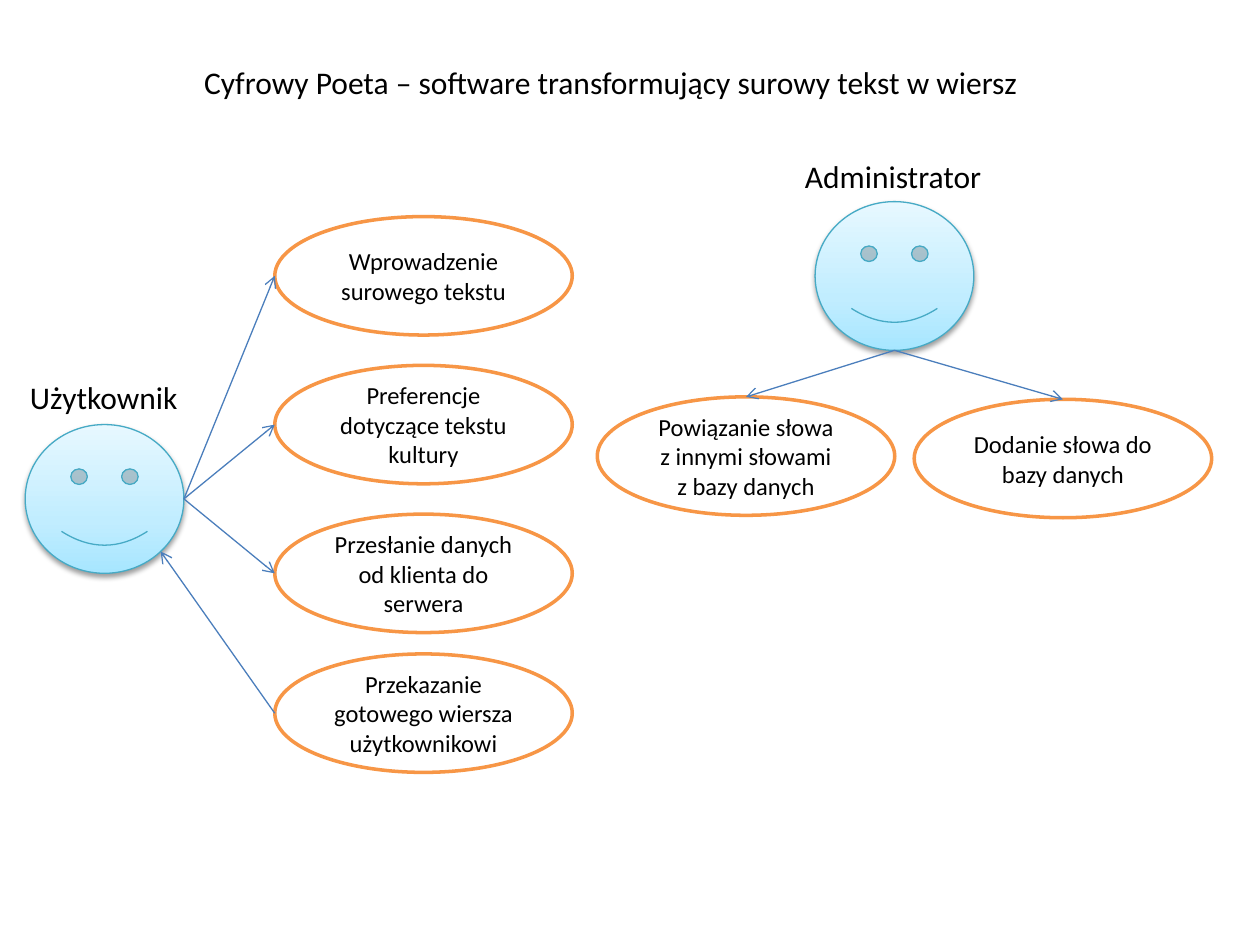
from dataclasses import dataclass

from lxml.etree import SubElement
from pptx import Presentation
from pptx.dml.color import RGBColor
from pptx.enum.shapes import MSO_CONNECTOR as Connector, MSO_SHAPE as Shape
from pptx.enum.text import MSO_ANCHOR as Anchor, MSO_AUTO_SIZE as AutoSize, PP_ALIGN as Align
from pptx.oxml.ns import qn
from pptx.util import Pt

COLORS = {
    "text": "000000", "case_fill": "FFFFFF", "case_line": "F79646",
    "actor_line": "46AAC5", "arrow": "4B7EBC", "shadow": "000000",
    "actor_bottom": "A7E6FF", "actor_middle": "C1EDFF", "actor_top": "E7F8FF",
}
ACTOR_STOPS = [(0, "actor_bottom"), (35, "actor_middle"), (100, "actor_top")]
FONT = "Calibri"
DIAGONAL = 0.5 ** 0.5


@dataclass
class Oval:
    """An oval item of the diagram, with its outline points."""
    left: float
    top: float
    width: float
    height: float
    text: str = ""

    def site(self, across: float, down: float) -> tuple[float, float]:
        """Return an outline point, each direction running from -1 to 1."""
        return (self.left + self.width * (1 + across) / 2,
                self.top + self.height * (1 + down) / 2)


@dataclass
class Label:
    """A line of text and its box."""
    text: str
    left: float
    top: float
    width: float


def use_case(left: float, top: float, text: str) -> Oval:
    """Make a use case of the common size."""
    return Oval(left, top, 170, 67.7, text)


def actor(left: float, top: float) -> Oval:
    """Make an actor of the common size."""
    return Oval(left, top, 90.7, 85)


def rgb(name: str) -> RGBColor:
    """Look up a named colour."""
    return RGBColor.from_string(COLORS[name])


def add_text(paragraph, text: str, size: float) -> None:
    """Add one formatted run."""
    run = paragraph.add_run()
    run.text = text
    run.font.name, run.font.size = FONT, Pt(size)
    run.font.color.rgb = rgb("text")


def add_oval(slide, oval: Oval, kind: Shape, line: str, weight: float):
    """Add an oval shape with its outline and no shadow."""
    shape = slide.shapes.add_shape(
        kind, Pt(oval.left), Pt(oval.top), Pt(oval.width), Pt(oval.height))
    shape.shadow.inherit = False
    shape.line.color.rgb = rgb(line)
    shape.line.width = Pt(weight)
    return shape


def draw_case(slide, case: Oval) -> None:
    """Draw a use case with its centred wording."""
    shape = add_oval(slide, case, Shape.OVAL, "case_line", 2)
    shape.fill.solid()
    shape.fill.fore_color.rgb = rgb("case_fill")
    frame = shape.text_frame
    frame.word_wrap = True
    frame.vertical_anchor = Anchor.MIDDLE
    frame.paragraphs[0].alignment = Align.CENTER
    add_text(frame.paragraphs[0], case.text, 14)


def add_color(parent, name: str):
    """Append a colour element."""
    return SubElement(parent, qn("a:srgbClr"), val=COLORS[name])


def draw_actor(slide, person: Oval) -> None:
    """Draw an actor with a gradient and a soft shadow."""
    shape = add_oval(slide, person, Shape.SMILEY_FACE, "actor_line", 0.75)
    shape.fill.gradient()
    shape.fill.gradient_angle = 90
    properties = shape._element.spPr
    stops = properties.find(".//" + qn("a:gsLst"))
    for stop in list(stops):
        stops.remove(stop)
    for percent, name in ACTOR_STOPS:
        add_color(SubElement(stops, qn("a:gs"), pos=str(percent * 1000)), name)
    shadow = SubElement(
        properties.find(qn("a:effectLst")), qn("a:outerShdw"),
        blurRad=str(Pt(3.1)), dist=str(Pt(1.6)), dir="5400000", rotWithShape="0")
    SubElement(add_color(shadow, "shadow"), qn("a:alpha"), val="38000")


def draw_arrow(slide, start: tuple[float, float], end: tuple[float, float]) -> None:
    """Draw a thin line with an open arrowhead at its end."""
    arrow = slide.shapes.add_connector(
        Connector.STRAIGHT, *(Pt(value) for value in start + end))
    arrow.line.color.rgb = rgb("arrow")
    arrow.line.width = Pt(0.75)
    SubElement(arrow.line._get_or_add_ln(), qn("a:tailEnd"), type="arrow")
    SubElement(arrow._element.spPr, qn("a:effectLst"))


def fill_label(shape, label: Label) -> None:
    """Place a text shape and write its single line."""
    shape.left, shape.top = Pt(label.left), Pt(label.top)
    shape.width, shape.height = Pt(label.width), Pt(29)
    frame = shape.text_frame
    frame.word_wrap = False
    frame.auto_size = AutoSize.SHAPE_TO_FIT_TEXT
    frame.vertical_anchor = Anchor.TOP
    frame.paragraphs[0].alignment = Align.LEFT
    add_text(frame.paragraphs[0], label.text, 18)


TITLE = Label("Cyfrowy Poeta – software transformujący surowy tekst w wiersz",
              109.4, 32.4, 484.6)
ACTOR_NAMES = [Label("Użytkownik", 10, 212.4, 99.4),
               Label("Administrator", 452.9, 86.2, 115.9)]
USER = actor(14.4, 242.6)
ADMIN = actor(465.8, 115.2)
USER_INPUTS = [
    use_case(157, 123.8, "Wprowadzenie surowego tekstu"),
    use_case(157, 208.8, "Preferencje dotyczące tekstu kultury"),
    use_case(157, 293.8, "Przesłanie danych od klienta do serwera"),
]
POEM_DELIVERY = use_case(157, 373.7, "Przekazanie gotowego wiersza użytkownikowi")
ADMIN_CASES = [
    use_case(341.3, 226.8, "Powiązanie słowa z innymi słowami z bazy danych"),
    use_case(522.4, 228.2, "Dodanie słowa do bazy danych"),
]

presentation = Presentation()
presentation.slide_width, presentation.slide_height = Pt(720), Pt(540)
slide = presentation.slides.add_slide(presentation.slide_layouts[5])
fill_label(slide.shapes.title, TITLE)

for case in [*USER_INPUTS, POEM_DELIVERY, *ADMIN_CASES]:
    draw_case(slide, case)
for person in (USER, ADMIN):
    draw_actor(slide, person)
for case in USER_INPUTS:
    draw_arrow(slide, USER.site(1, 0), case.site(-1, 0))
for case in ADMIN_CASES:
    draw_arrow(slide, ADMIN.site(0, 1), case.site(0, -1))
draw_arrow(slide, POEM_DELIVERY.site(-1, 0), USER.site(DIAGONAL, DIAGONAL))
for name in ACTOR_NAMES:
    fill_label(slide.shapes.add_textbox(0, 0, 0, 0), name)

presentation.save("out.pptx")
